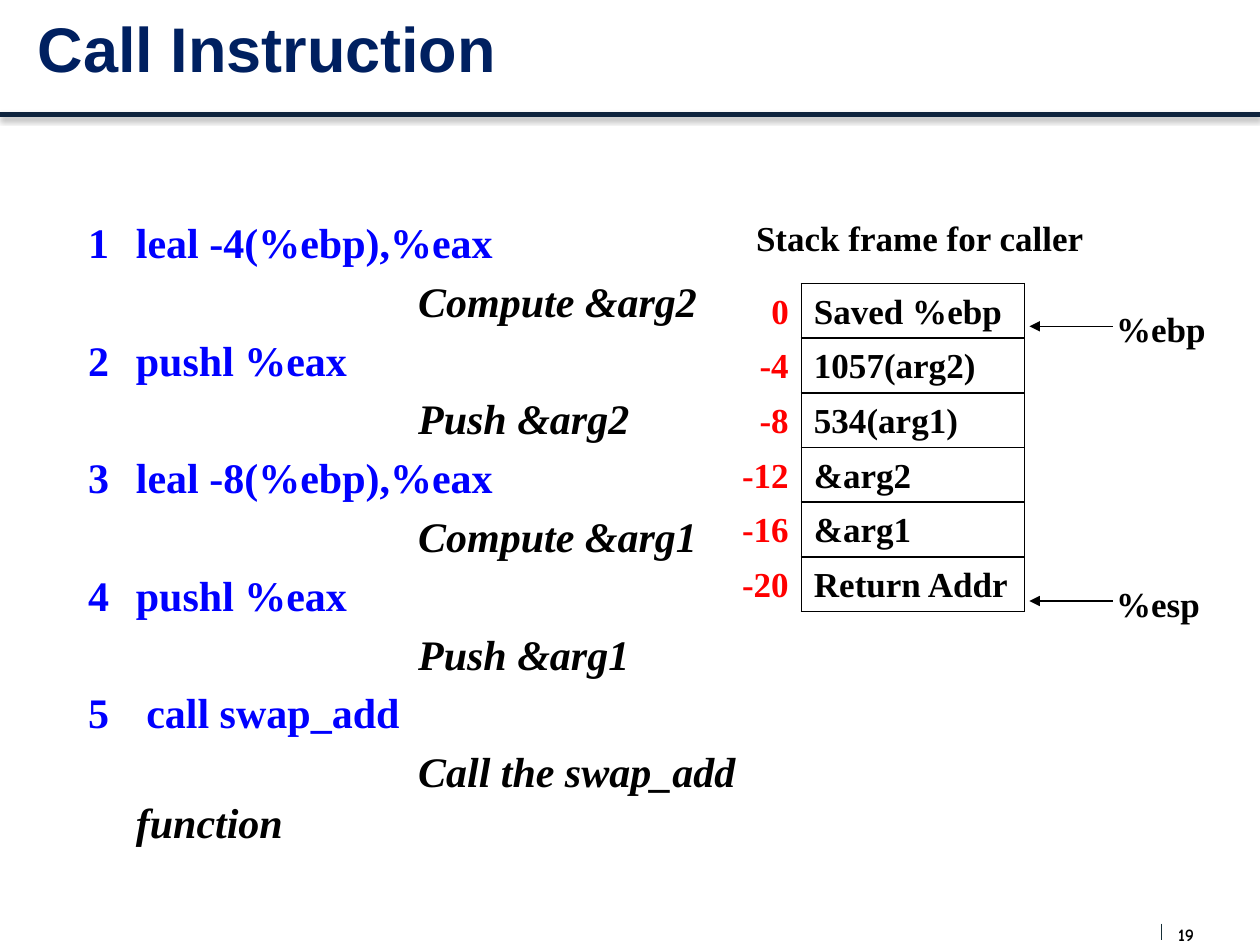
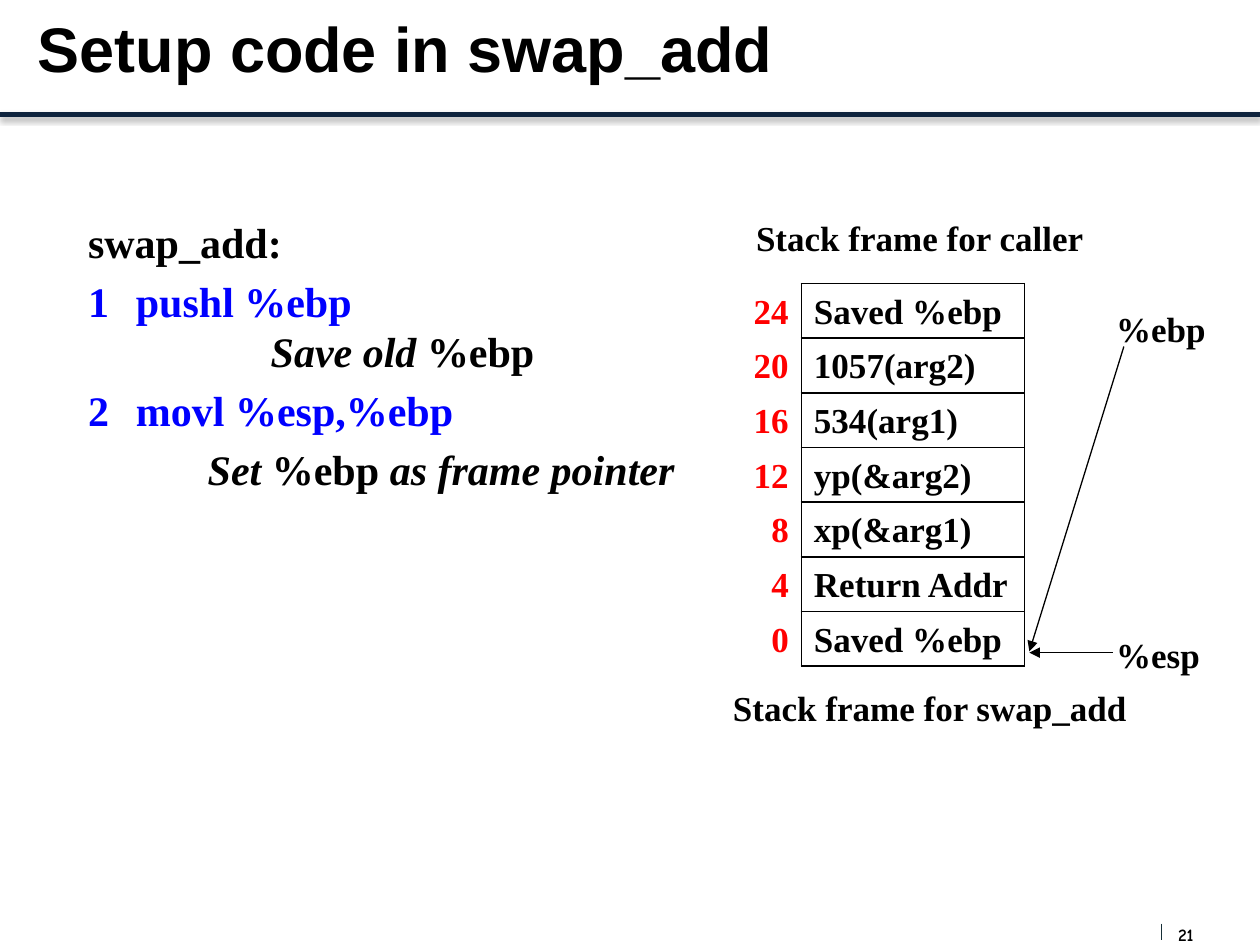
from lxml.etree import SubElement as Sub
from pptx import Presentation
from pptx.dml.color import RGBColor
from pptx.enum.shapes import MSO_CONNECTOR as Link
from pptx.enum.text import MSO_ANCHOR as Anchor, MSO_AUTO_SIZE as Auto, PP_ALIGN as Align
from pptx.oxml.ns import qn
from pptx.util import Inches, Pt

BLACK, BLUE, RED, NAVY = "000000", "0000FF", "FF0000", "002060"
BAND, TICK = "0F243E", "172F37"
SERIF = "Times New Roman"
ROW = 1.3 / 3
HANG = 0.38


def color(code):
    return RGBColor.from_string(code)


def apply(item, **values):
    for name, value in values.items():
        setattr(item, name, value)


def node(parent, tag, **values):
    return Sub(parent, qn("a:" + tag), **values)


class Deck:
    def __init__(self):
        self.prs = Presentation()
        apply(self.prs, slide_width=Inches(10), slide_height=Inches(7.5))

    def start(self, title, tint, number):
        self.slide = self.prs.slides.add_slide(self.prs.slide_layouts[5])
        head = self.slide.shapes.title
        apply(head, left=Inches(0.2), top=Inches(0), width=Inches(9.25), height=Inches(0.75))
        apply(head.text_frame, vertical_anchor=Anchor.MIDDLE, auto_size=Auto.NONE)
        para = head.text_frame.paragraphs[0]
        para.alignment = Align.LEFT
        self.run(para, title, 36, tint, face="Arial")
        self.line((0, 0.91), (10, 0.91), BAND, 3, shade=True)
        self.line((9.22, 7.33), (9.22, 7.46), TICK)
        frame = self.frame(9.35, 7.33, 0.34, 0.17)
        apply(frame, margin_left=0, margin_right=0, margin_top=0, margin_bottom=0)
        self.run(frame.paragraphs[0], number, 10, face="Comic Neue")

    def run(self, para, text, size=20, tint=BLACK, slant=False, face=SERIF):
        run = para.add_run()
        run.text = text
        apply(run.font, name=face, size=Pt(size), bold=True, italic=slant)
        run.font.color.rgb = color(tint)

    def frame(self, left, top, width, height):
        box = self.slide.shapes.add_textbox(*map(Inches, (left, top, width, height)))
        box.text_frame.word_wrap = True
        return box.text_frame

    def label(self, text, left, top, width, align=Align.LEFT):
        para = self.frame(left, top, width, 0.43).paragraphs[0]
        apply(para, alignment=align, line_spacing=Pt(24))
        self.run(para, text)

    def line(self, start, end, tint=BLACK, width=0.75, shade=False, arrow=False):
        link = self.slide.shapes.add_connector(Link.STRAIGHT, *map(Inches, start + end))
        apply(link.line, width=Pt(width))
        link.line.color.rgb = color(tint)
        props = link._element.spPr
        if arrow:
            node(props.find(qn("a:ln")), "tailEnd", type="triangle")
        effect = node(props, "effectLst")
        if shade:
            cast = node(effect, "outerShdw", blurRad=str(Pt(3.1)), dist=str(Pt(1.8)),
                        dir="5400000", rotWithShape="0")
            node(node(cast, "srgbClr", val=BLACK), "alpha", val="35000")

    def code(self, width, height, lines):
        frame = self.frame(0.6, 1.67, width, height)
        for spot, (indent, gap, parts) in enumerate(lines):
            para = frame.add_paragraph() if spot else frame.paragraphs[0]
            apply(para, line_spacing=Pt(28.8), space_before=Pt(gap if spot else 0))
            props = para._p.get_or_add_pPr()
            props.set("marL", str(Inches(HANG)))
            props.set("indent", str(Inches(indent)))
            for text, tint, slant in parts:
                self.run(para, text, 24, tint, slant)

    def cell(self, cell, text, tint, align, sides):
        para = cell.text_frame.paragraphs[0]
        apply(para, alignment=align, line_spacing=Pt(24))
        self.run(para, text, tint=tint)
        props = cell._tc.get_or_add_tcPr()
        for side in "LRTB":
            edge = node(props, "ln" + side, w=str(Pt(1)))
            if side in sides:
                node(node(edge, "solidFill"), "srgbClr", val=BLACK)
            else:
                node(edge, "noFill")
        cell.fill.background()

    def stack(self, rows):
        self.label("Stack frame for caller", 5.83, 1.67, 2.94, Align.CENTER)
        size = map(Inches, (5.75, 2.25, 2.38, ROW * len(rows)))
        table = self.slide.shapes.add_table(len(rows), 2, *size).table
        apply(table, first_row=False, horz_banding=False)
        for col, width in zip(table.columns, (0.61, 1.77)):
            col.width = Inches(width)
        for row, (offset, value) in zip(table.rows, rows):
            row.height = Inches(ROW)
            self.cell(row.cells[0], offset, RED, Align.RIGHT, "R")
            self.cell(row.cells[1], value, BLACK, Align.LEFT, "LRTB")

    def point(self, name, top, arrow=True):
        self.label(name, 8.76, top, 1, Align.LEFT)
        if arrow:
            self.line((8.83, top + 0.2), (8.17, top + 0.2), arrow=True)


def step(text):
    return -HANG, 4.8, [(text, BLUE, False)]


def note(indent, *parts, gap=4.8):
    return indent, gap, [(text, BLACK, slant) for text, slant in parts]


def call(deck):
    deck.start("Call Instruction", NAVY, "19")
    steps = [
        ("1\tleal -4(%ebp),%eax", "Compute &arg2"),
        ("2\tpushl %eax", "Push &arg2"),
        ("3\tleal -8(%ebp),%eax", "Compute &arg1"),
        ("4\tpushl %eax", "Push &arg1"),
        ("5\t call swap_add", "Call the swap_add function"),
    ]
    lines = []
    for text, hint in steps:
        lines += [step(text), note(2.24, (hint, True))]
    deck.code(6.28, 4.87, lines)
    deck.stack([("0", "Saved %ebp"), ("-4", "1057(arg2)"), ("-8", "534(arg1)"),
                ("-12", "&arg2"), ("-16", "&arg1"), ("-20", "Return Addr")])
    deck.point("%ebp", 2.39)
    deck.point("%esp", 4.57)


def setup(deck):
    deck.start("Setup code in swap_add", BLACK, "21")
    deck.code(5.15, 2.36, [
        note(-HANG, ("swap_add:", False)),
        step("1\tpushl %ebp"),
        note(1.07, ("Save old ", True), ("%ebp", False), gap=0),
        step("2\tmovl %esp,%ebp"),
        note(0.57, ("Set ", True), ("%ebp ", False), ("as frame pointer", True)),
    ])
    deck.stack([("24", "Saved %ebp"), ("20", "1057(arg2)"), ("16", "534(arg1)"),
                ("12", "yp(&arg2)"), ("8", "xp(&arg1)"), ("4", "Return Addr"),
                ("0", "Saved %ebp")])
    deck.point("%ebp", 2.39, arrow=False)
    deck.point("%esp", 4.98)
    deck.line((8.92, 2.75), (8.17, 5.17), arrow=True)
    deck.label("Stack frame for swap_add", 5.67, 5.4, 3.42, Align.CENTER)


def main():
    deck = Deck()
    call(deck)
    setup(deck)
    deck.prs.save("out.pptx")


if __name__ == "__main__":
    main()
